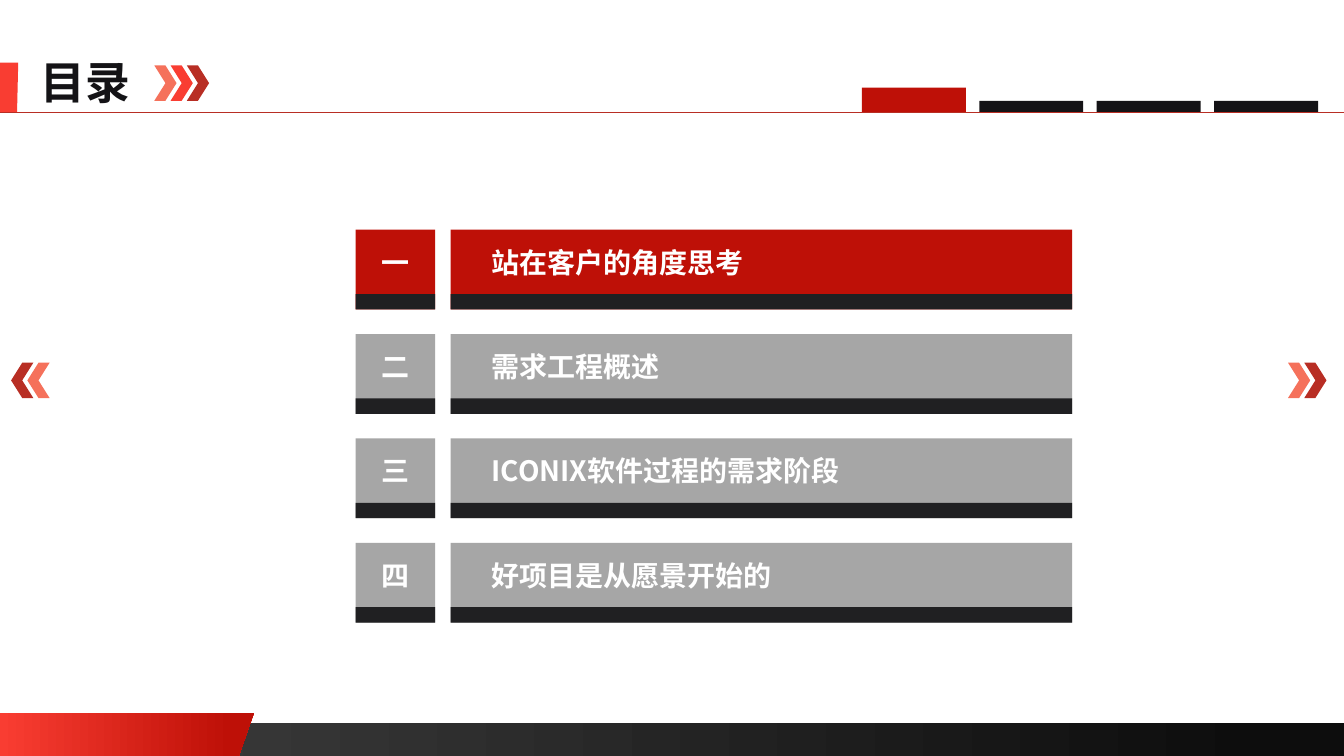
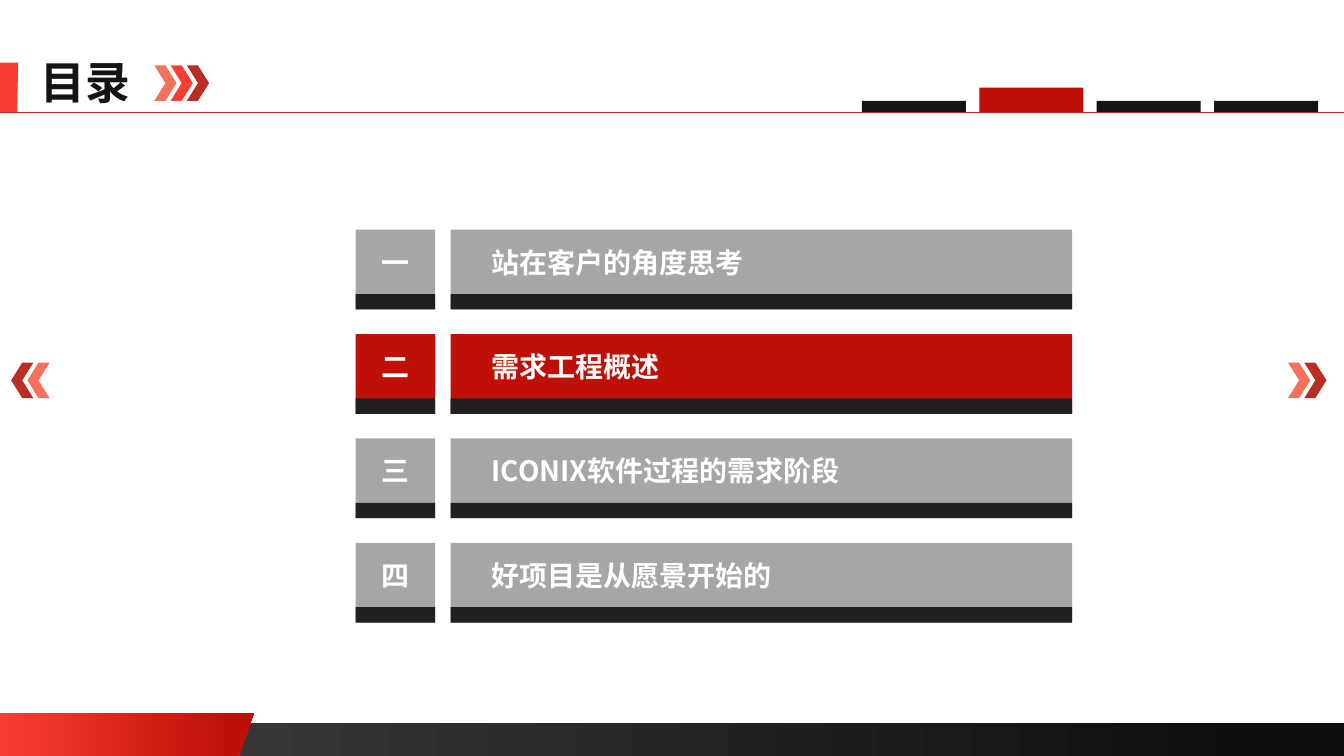
from lxml import etree
from pptx import Presentation, util as u
from pptx.dml.color import RGBColor
from pptx.enum import shapes, text
from pptx.oxml.ns import qn

FONT = "Noto Sans CJK SC"
WIDTH, HEIGHT = 33.87, 19.05
RED, BRIGHT_RED, DARK_RED, SALMON = "BE1007", "F93D32", "B82E24", "F5715B"
BLACK, CHARCOAL, GREY, WHITE = "141316", "202022", "A6A6A6", "FFFFFF"
RECT, CHEVRON = shapes.MSO_SHAPE.RECTANGLE, shapes.MSO_SHAPE.CHEVRON

HEADING = "目录"
CHAPTERS = [
    ("一", "站在客户的角度思考"),
    ("二", "需求工程概述"),
    ("三", "ICONIX软件过程的需求阶段"),
    ("四", "好项目是从愿景开始的"),
]
RULE_Y = 2.82
TAB_LEFT, TAB_WIDTH, TAB_PITCH = 21.72, 2.62, 2.96
ROW_TOP, ROW_PITCH, ROW_HEIGHT, STRIP_HEIGHT = 5.79, 2.63, 2.01, 0.39
NUMBER_LEFT, NUMBER_WIDTH = 8.96, 2.01
BAR_LEFT, BAR_WIDTH = 11.36, 15.66
LABEL_INDENT, LABEL_DROP, LABEL_HEIGHT = 0.78, 0.25, 1.12


def color(value):
    return RGBColor.from_string(value)


class Painter:
    """Holds the deck's style and draws on the current slide; lengths are in cm."""

    def __init__(self, deck):
        self.deck = deck
        self.slide = None

    def new_slide(self):
        self.slide = self.deck.slides.add_slide(self.deck.slide_layouts[5])

    def paint(self, shape, fill):
        """Fill with one colour, or with a gradient given as (colour, position) pairs."""
        shape.shadow.inherit = False
        shape.line.fill.background()
        if isinstance(fill, str):
            shape.fill.solid()
            shape.fill.fore_color.rgb = color(fill)
        else:
            shape.fill.gradient()
            shape.fill.gradient_angle = 0
            for stop, (value, position) in zip(shape.fill.gradient_stops, fill):
                stop.color.rgb = color(value)
                stop.position = position
        return shape

    def shape(self, kind, left, top, width, height, fill):
        shape = self.slide.shapes.add_shape(
            kind, u.Cm(left), u.Cm(top), u.Cm(width), u.Cm(height))
        return self.paint(shape, fill)

    def outline(self, points, fill):
        start, *rest = [(u.Cm(x), u.Cm(y)) for x, y in points]
        builder = self.slide.shapes.build_freeform(*start)
        builder.add_line_segments(rest, close=True)
        return self.paint(builder.convert_to_shape(), fill)

    def rule(self, y, value, points):
        line = self.slide.shapes.add_connector(
            shapes.MSO_CONNECTOR.STRAIGHT, 0, u.Cm(y), u.Cm(WIDTH), u.Cm(y))
        line.line.color.rgb = color(value)
        line.line.width = u.Pt(points)
        etree.SubElement(line._element.spPr, qn("a:effectLst"))

    def set_text(self, box, words, size, value, align):
        frame = box.text_frame
        frame.word_wrap = False
        frame.auto_size = text.MSO_AUTO_SIZE.NONE
        frame.vertical_anchor = text.MSO_ANCHOR.MIDDLE
        para = frame.paragraphs[0]
        para.alignment = align
        span = para.add_run()
        span.text = words
        span.font.size = u.Pt(size)
        span.font.bold = True
        span.font.color.rgb = color(value)
        span.font.name = FONT
        etree.SubElement(span._r.get_or_add_rPr(), qn("a:ea"), typeface=FONT)

    def title(self, words):
        box = self.slide.shapes.title
        box.left, box.top = u.Cm(0.76), u.Cm(1.24)
        box.width, box.height = u.Cm(2.79), u.Cm(1.63)
        self.set_text(box, words, 32, BLACK, text.PP_ALIGN.LEFT)

    def label(self, left, top, width, words, align):
        box = self.slide.shapes.add_textbox(
            u.Cm(left), u.Cm(top), u.Cm(width), u.Cm(LABEL_HEIGHT))
        self.set_text(box, words, 20, WHITE, align)
        return box

    def group(self, members):
        self.slide.shapes.add_group_shape(members)

    def chevrons(self, left, top, fills, rotation=0):
        marks = []
        for index, fill in enumerate(fills):
            mark = self.shape(CHEVRON, left + index * 0.41, top, 0.56, 0.89, fill)
            mark.rotation = rotation
            marks.append(mark)
        self.group(marks)

    def frame(self):
        """Draw the footer, heading and side arrows that every slide carries."""
        self.shape(RECT, 0, 18.21, WIDTH, HEIGHT - 18.21,
                   [("404040", 0), ("0D0D0D", 0.94)])
        self.outline([(0, 17.96), (6.4, 17.96), (6.02, HEIGHT), (0, HEIGHT)],
                     [(BRIGHT_RED, 0), (RED, 0.91)])
        self.outline([(0, 1.58), (0.46, 1.58), (0.43, 2.84), (0, 2.84)], BRIGHT_RED)
        self.title(HEADING)
        self.rule(RULE_Y, DARK_RED, 0.5)
        self.chevrons(3.89, 1.65, [SALMON, BRIGHT_RED, DARK_RED])
        self.chevrons(32.46, 9.14, [SALMON, DARK_RED])
        self.chevrons(0.28, 9.14, [DARK_RED, SALMON], rotation=180)

    def tab(self, index, active):
        height, fill = (0.61, RED) if active else (0.28, BLACK)
        self.shape(RECT, TAB_LEFT + index * TAB_PITCH, RULE_Y - height,
                   TAB_WIDTH, height, fill)

    def chapter(self, index, number, name, active):
        top = ROW_TOP + index * ROW_PITCH
        strip_top = top + ROW_HEIGHT - STRIP_HEIGHT
        parts = []
        for left, width in ((NUMBER_LEFT, NUMBER_WIDTH), (BAR_LEFT, BAR_WIDTH)):
            parts.append(self.shape(RECT, left, top, width, ROW_HEIGHT,
                                    RED if active else GREY))
            parts.append(self.shape(RECT, left, strip_top, width, STRIP_HEIGHT,
                                    CHARCOAL))
        parts.append(self.label(NUMBER_LEFT, top + LABEL_DROP, NUMBER_WIDTH,
                                number, text.PP_ALIGN.CENTER))
        parts.append(self.label(BAR_LEFT + LABEL_INDENT, top + LABEL_DROP,
                                BAR_WIDTH - LABEL_INDENT, name, text.PP_ALIGN.LEFT))
        self.group(parts)


def main():
    deck = Presentation()
    deck.slide_width, deck.slide_height = u.Cm(WIDTH), u.Cm(HEIGHT)
    painter = Painter(deck)
    for current in range(2):
        painter.new_slide()
        painter.frame()
        for index, (number, name) in enumerate(CHAPTERS):
            painter.tab(index, index == current)
            painter.chapter(index, number, name, index == current)
    deck.save("out.pptx")


if __name__ == "__main__":
    main()
